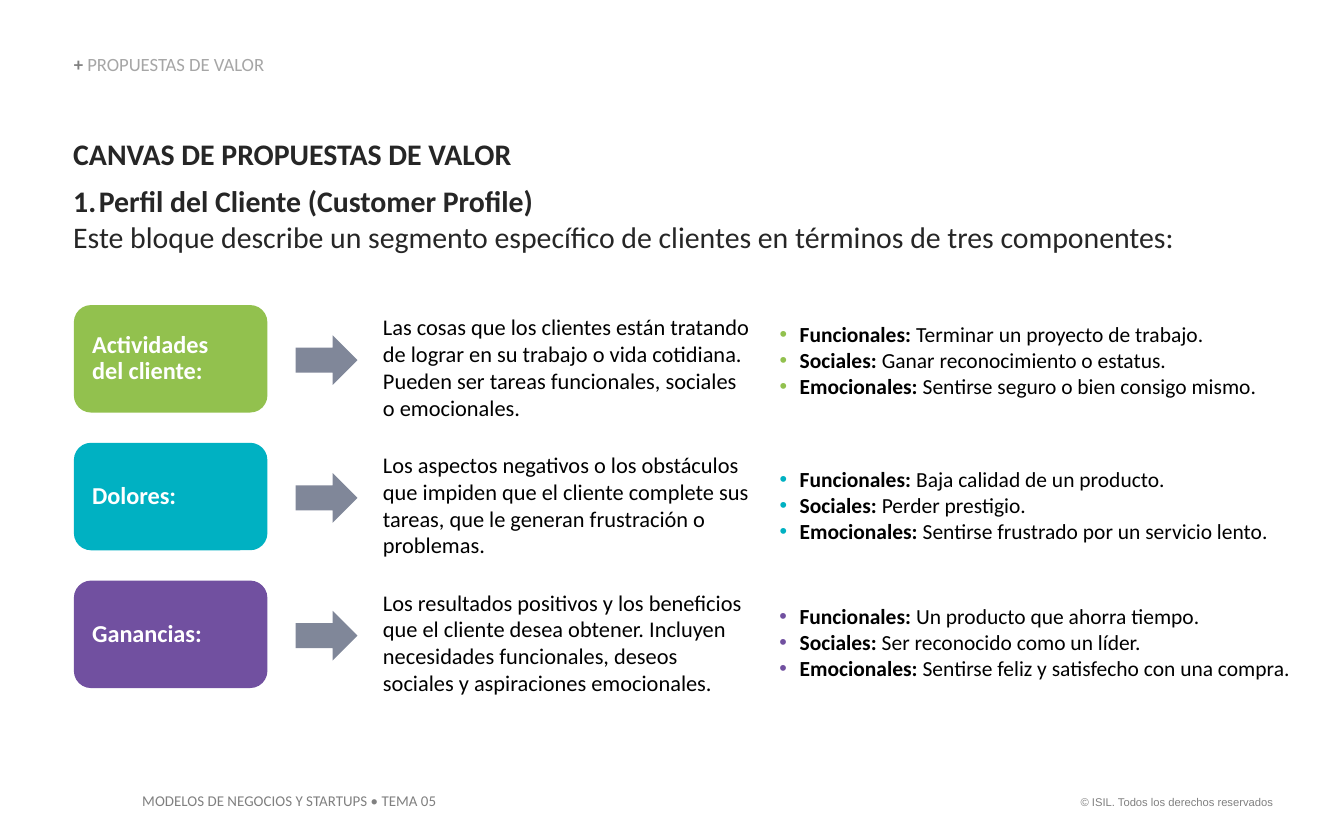
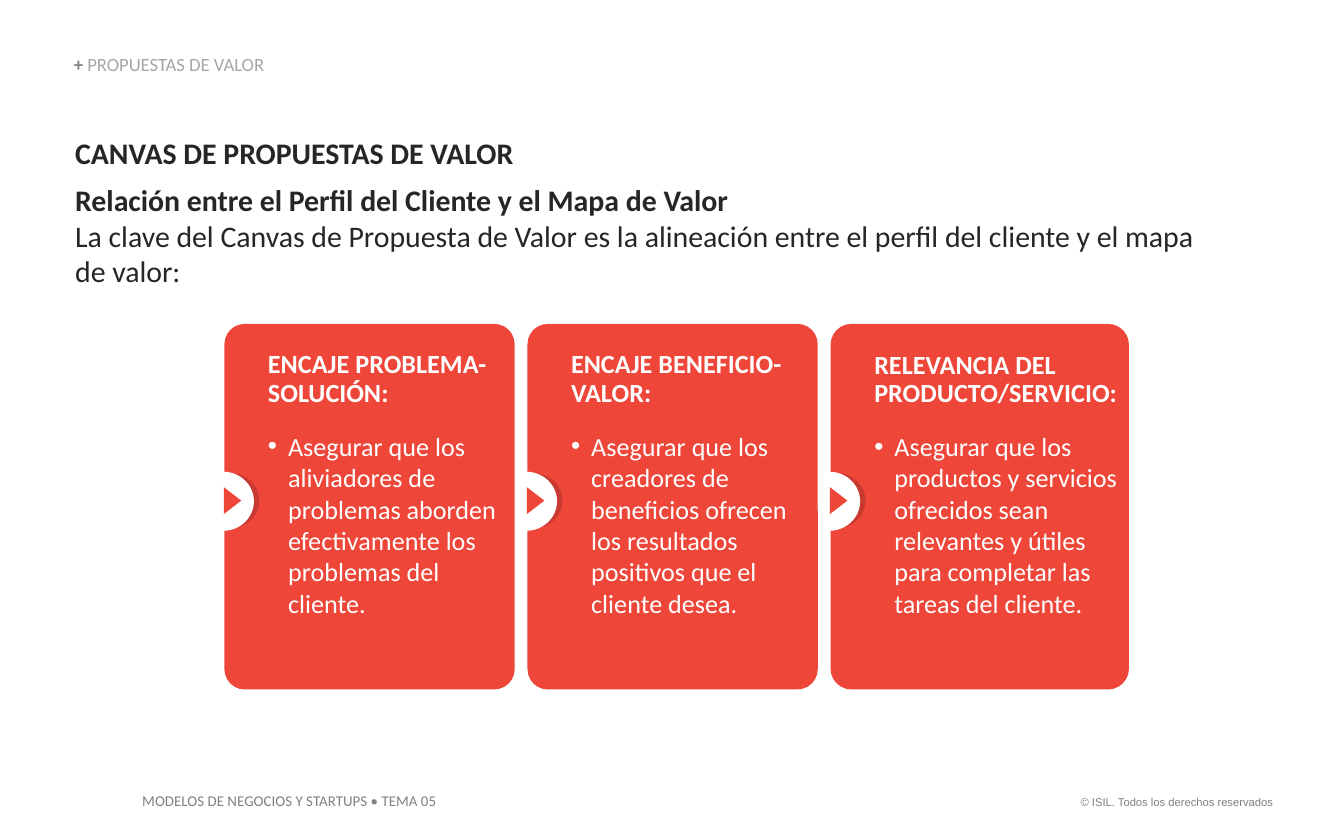
"""Build two slides about the value proposition canvas."""
from copy import deepcopy
from dataclasses import dataclass
from typing import NamedTuple, Optional

from lxml.etree import SubElement
from pptx import Presentation
from pptx.dml.color import RGBColor
from pptx.enum.shapes import MSO_SHAPE as Preset
from pptx.enum.text import MSO_ANCHOR as Anchor, MSO_AUTO_SIZE as AutoSize, PP_ALIGN as Align
from pptx.oxml.ns import qn
from pptx.util import Inches, Pt

WHITE = RGBColor(0xFF, 0xFF, 0xFF)
BLACK = RGBColor(0x00, 0x00, 0x00)
INK = RGBColor(0x26, 0x26, 0x26)
GRAY = RGBColor(0x80, 0x80, 0x80)
LIGHT_GRAY = RGBColor(0xA6, 0xA6, 0xA6)
SLATE = RGBColor(0x80, 0x87, 0x99)
GREEN = RGBColor(0x92, 0xC1, 0x4E)
TEAL = RGBColor(0x00, 0xB1, 0xC2)
PURPLE = RGBColor(0x71, 0x50, 0xA0)
RED = RGBColor(0xEE, 0x46, 0x39)
DARK_RED = RGBColor(0xC7, 0x39, 0x31)

SLIDE_COLUMNS, SLIDE_ROWS = 100, 62.5
CELL = Inches(0.1)
BULLET = "•"
NUMBER = "1."
NO_INSETS = (0, 0, 0, 0)
DEFAULT_INSETS = (1, 0.5, 1, 0.5)


class Frame(NamedTuple):
    left: float
    top: float
    width: float
    height: float

    def lengths(self) -> list[int]:
        return [round(value * CELL) for value in self]


class Span(NamedTuple):
    text: str
    bold: bool = False
    color: Optional[RGBColor] = None


class Style(NamedTuple):
    size: float
    color: RGBColor
    font: str = "Calibri"


@dataclass(frozen=True)
class Para:
    spans: tuple[Span, ...]
    marker: str = ""
    marker_color: RGBColor = INK
    indent: float = 1.5
    line_spacing: float = 1.0
    after: float = 0
    align: Align = Align.LEFT


@dataclass(frozen=True)
class ProfileRow:
    name: str
    color: RGBColor
    description: str
    examples: tuple[str, str, str]
    examples_offset: float
    examples_width: float


@dataclass(frozen=True)
class FitCard:
    title: str
    goal: str
    width: float


FOOTER_STYLE = Style(8, GRAY)
RIGHTS_STYLE = Style(6, GRAY, "Arial")
HEADER_STYLE = Style(10, GRAY)
HEADING_STYLE = Style(16, INK)
LABEL_STYLE = Style(13, WHITE)
DESCRIPTION_STYLE = Style(12, BLACK)
EXAMPLE_STYLE = Style(11.5, BLACK)
CARD_STYLE = Style(14, WHITE)

EXAMPLE_KINDS = ("Funcionales: ", "Sociales: ", "Emocionales: ")
PROFILE_ROWS = (
    ProfileRow(
        "Actividades\vdel cliente:", GREEN,
        "Las cosas que los clientes están tratando de lograr en su trabajo o vida cotidiana. "
        "Pueden ser tareas funcionales, sociales o emocionales.",
        ("Terminar un proyecto de trabajo.", "Ganar reconocimiento o estatus.",
         "Sentirse seguro o bien consigo mismo."), 1.2, 36.9),
    ProfileRow(
        "Dolores:", TEAL,
        "Los aspectos negativos o los obstáculos que impiden que el cliente complete sus tareas, "
        "que le generan frustración o problemas.",
        ("Baja calidad de un producto.", "Perder prestigio.",
         "Sentirse frustrado por un servicio lento."), 1.75, 37.5),
    ProfileRow(
        "Ganancias:", PURPLE,
        "Los resultados positivos y los beneficios que el cliente desea obtener. "
        "Incluyen necesidades funcionales, deseos sociales y aspiraciones emocionales.",
        ("Un producto que ahorra tiempo.", "Ser reconocido como un líder.",
         "Sentirse feliz y satisfecho con una compra."), 1.7, 38.4),
)
ROWS_TOP, ROW_PITCH = 22.7, 10.25

FIT_CARDS = (
    FitCard("ENCAJE PROBLEMA-SOLUCIÓN:",
            "Asegurar que los aliviadores de problemas aborden efectivamente los problemas "
            "del cliente.", 21.6),
    FitCard("ENCAJE BENEFICIO-VALOR:",
            "Asegurar que los creadores de beneficios ofrecen los resultados positivos que el "
            "cliente desea.", 21.6),
    FitCard("RELEVANCIA DEL PRODUCTO/SERVICIO:",
            "Asegurar que los productos y servicios ofrecidos sean relevantes y útiles para "
            "completar las tareas del cliente.", 22.2),
)
CARDS_LEFT, CARDS_TOP, CARD_PITCH, CARD_HEIGHT = 16.7, 24.1, 22.55, 27.2


def add_marker(paragraph, para: Para) -> None:
    properties = paragraph._p.get_or_add_pPr()
    indent = round(para.indent * CELL)
    properties.set("marL", str(indent))
    properties.set("indent", str(-indent))
    color = SubElement(properties, qn("a:buClr"))
    SubElement(color, qn("a:srgbClr"), val=str(para.marker_color))
    if para.marker == NUMBER:
        SubElement(properties, qn("a:buFont"), typeface="Calibri")
        SubElement(properties, qn("a:buAutoNum"), type="arabicPeriod")
    else:
        SubElement(properties, qn("a:buFont"), typeface="Arial")
        SubElement(properties, qn("a:buChar"), char=para.marker)


def write_paragraph(paragraph, para: Para, style: Style) -> None:
    if para.marker:
        add_marker(paragraph, para)
    paragraph.alignment = para.align
    paragraph.line_spacing = para.line_spacing
    paragraph.space_after = Pt(para.after)
    for span in para.spans:
        first = len(paragraph.runs)
        if first:
            paragraph.add_run().text = span.text
        else:
            paragraph.text = span.text
        for run in paragraph.runs[first:]:
            run.font.name = style.font
            run.font.size = Pt(style.size)
            run.font.bold = span.bold
            run.font.color.rgb = span.color or style.color
    for line_break in paragraph._p.findall(qn("a:br")):
        line_break.append(deepcopy(paragraph.runs[0].font._rPr))


def write(shape, paras: list[Para], style: Style, insets: tuple = NO_INSETS,
          anchor: Anchor = Anchor.TOP) -> None:
    text_frame = shape.text_frame
    text_frame.word_wrap = True
    text_frame.vertical_anchor = anchor
    (text_frame.margin_left, text_frame.margin_top,
     text_frame.margin_right, text_frame.margin_bottom) = (round(i * CELL) for i in insets)
    for index, para in enumerate(paras):
        paragraph = text_frame.add_paragraph() if index else text_frame.paragraphs[0]
        write_paragraph(paragraph, para, style)


def add_text(page, frame: Frame, paras: list[Para], style: Style, insets: tuple = NO_INSETS,
             anchor: Anchor = Anchor.TOP, wrap: bool = True) -> None:
    box = page.shapes.add_textbox(*frame.lengths())
    write(box, paras, style, insets, anchor)
    box.text_frame.word_wrap = wrap
    box.text_frame.auto_size = AutoSize.SHAPE_TO_FIT_TEXT


def add_preset(page, preset: Preset, frame: Frame, color: RGBColor,
               corner: Optional[float] = None, rotation: float = 0):
    shape = page.shapes.add_shape(preset, *frame.lengths())
    shape.shadow.inherit = False
    shape.fill.solid()
    shape.fill.fore_color.rgb = color
    shape.line.fill.background()
    shape.rotation = rotation
    if corner is not None:
        shape.adjustments[0] = corner
    return shape


def add_page(deck, heading: Frame, subtitle: str, intro: str, marker: str = ""):
    page = deck.slides.add_slide(deck.slide_layouts[6])
    add_text(page, Frame(78.8, 58.7, 16.9, 2),
             [Para((Span("© ISIL. Todos los derechos reservados"),), align=Align.RIGHT)],
             RIGHTS_STYLE, DEFAULT_INSETS, wrap=False)
    add_text(page, Frame(9.6, 58.4, 24.5, 2.4),
             [Para((Span("MODELOS DE NEGOCIOS Y STARTUPS • TEMA 05"),))],
             FOOTER_STYLE, DEFAULT_INSETS, wrap=False)
    add_text(page, heading, [
        Para((Span("CANVAS DE PROPUESTAS DE VALOR", True),), after=6),
        Para((Span(subtitle, True),), marker, indent=1.9),
        Para((Span(intro),)),
    ], HEADING_STYLE)
    add_text(page, Frame(5.5, 4.1, 42.5, 1.5),
             [Para((Span("+ ", True), Span("PROPUESTAS DE VALOR", color=LIGHT_GRAY)),
                   line_spacing=0.9)], HEADER_STYLE, anchor=Anchor.BOTTOM)
    return page


def add_profile_row(page, row: ProfileRow, top: float) -> None:
    add_text(page, Frame(28.5, top + 0.6, 27.6, 8.1), [Para((Span(row.description),))],
             DESCRIPTION_STYLE)
    add_preset(page, Preset.RIGHT_ARROW, Frame(22, top + 2.25, 4.6, 3.7), SLATE)
    label = add_preset(page, Preset.ROUNDED_RECTANGLE, Frame(5.5, top, 14.4, 8), row.color, 0.16)
    write(label, [Para((Span(row.name, True),), line_spacing=0.9)], LABEL_STYLE,
          DEFAULT_INSETS, Anchor.MIDDLE)
    examples = [Para((Span(kind, True), Span(example)), BULLET, row.color)
                for kind, example in zip(EXAMPLE_KINDS, row.examples)]
    add_text(page, Frame(58, top + row.examples_offset, row.examples_width, 5.8), examples,
             EXAMPLE_STYLE)


def add_fit_card(page, card: FitCard, left: float) -> None:
    body = add_preset(page, Preset.ROUNDED_RECTANGLE,
                      Frame(left, CARDS_TOP, card.width, CARD_HEIGHT), RED, 0.07)
    write(body, [
        Para((Span(card.title, True),), line_spacing=0.9, after=12),
        Para((Span(card.goal),), BULLET, WHITE),
    ], CARD_STYLE, (2.8, 1.6, 0, 0.5))
    add_preset(page, Preset.OVAL, Frame(left - 1.7, CARDS_TOP + 11.1, 4.3, 4.1), DARK_RED)
    add_preset(page, Preset.OVAL, Frame(left - 2.4, CARDS_TOP + 11, 4.6, 4.4), WHITE)
    add_preset(page, Preset.ISOSCELES_TRIANGLE, Frame(left - 0.4, CARDS_TOP + 12.5, 2, 1.3), RED,
               rotation=90)


def main() -> None:
    deck = Presentation()
    deck.slide_width = round(SLIDE_COLUMNS * CELL)
    deck.slide_height = round(SLIDE_ROWS * CELL)

    profile = add_page(
        deck, Frame(5.45, 10.1, 89.5, 8.9), "Perfil del Cliente (Customer Profile)",
        "Este bloque describe un segmento específico de clientes en términos de tres componentes:",
        NUMBER)
    for index, row in enumerate(PROFILE_ROWS):
        add_profile_row(profile, row, ROWS_TOP + index * ROW_PITCH)

    fit = add_page(
        deck, Frame(5.6, 10, 89.3, 11.6), "Relación entre el Perfil del Cliente y el Mapa de Valor",
        "La clave del Canvas de Propuesta de Valor es la alineación entre el perfil del cliente "
        "y el mapa\vde valor:")
    for index, card in reversed(list(enumerate(FIT_CARDS))):
        add_fit_card(fit, card, CARDS_LEFT + index * CARD_PITCH)

    deck.save("out.pptx")


if __name__ == "__main__":
    main()
